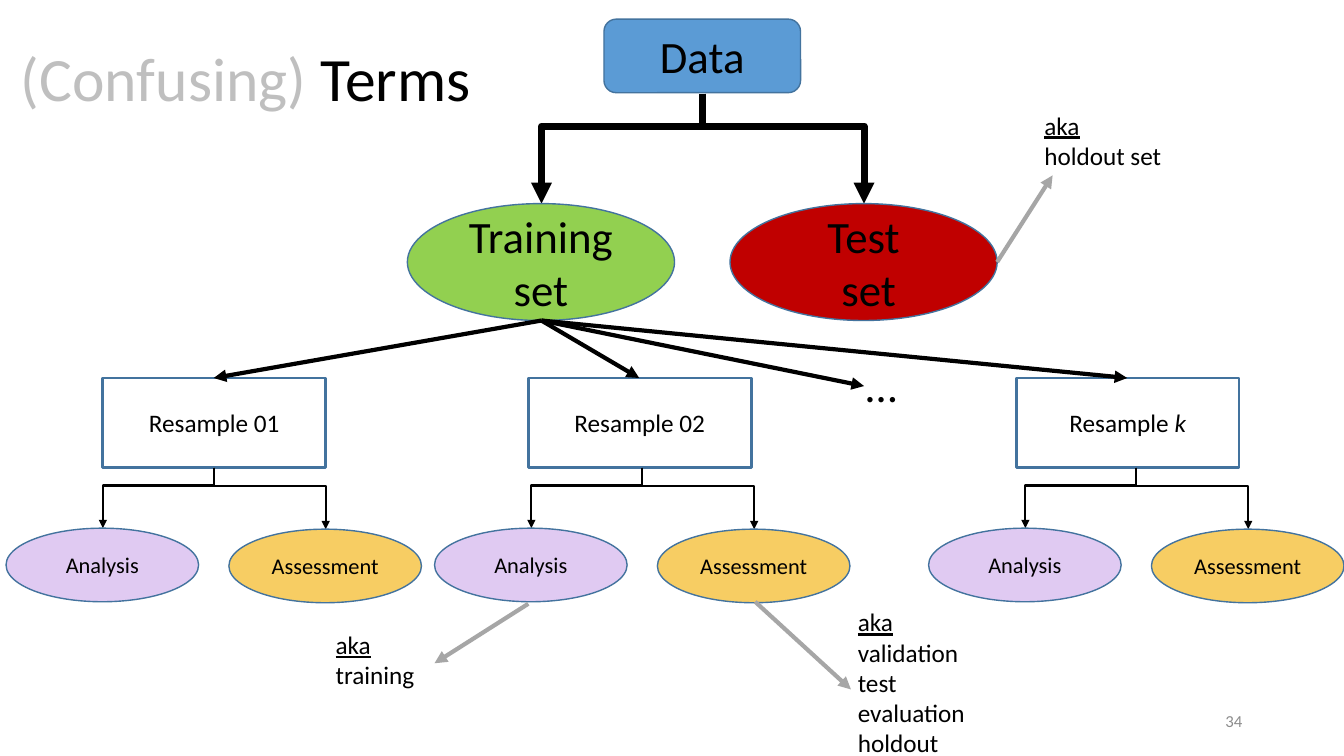
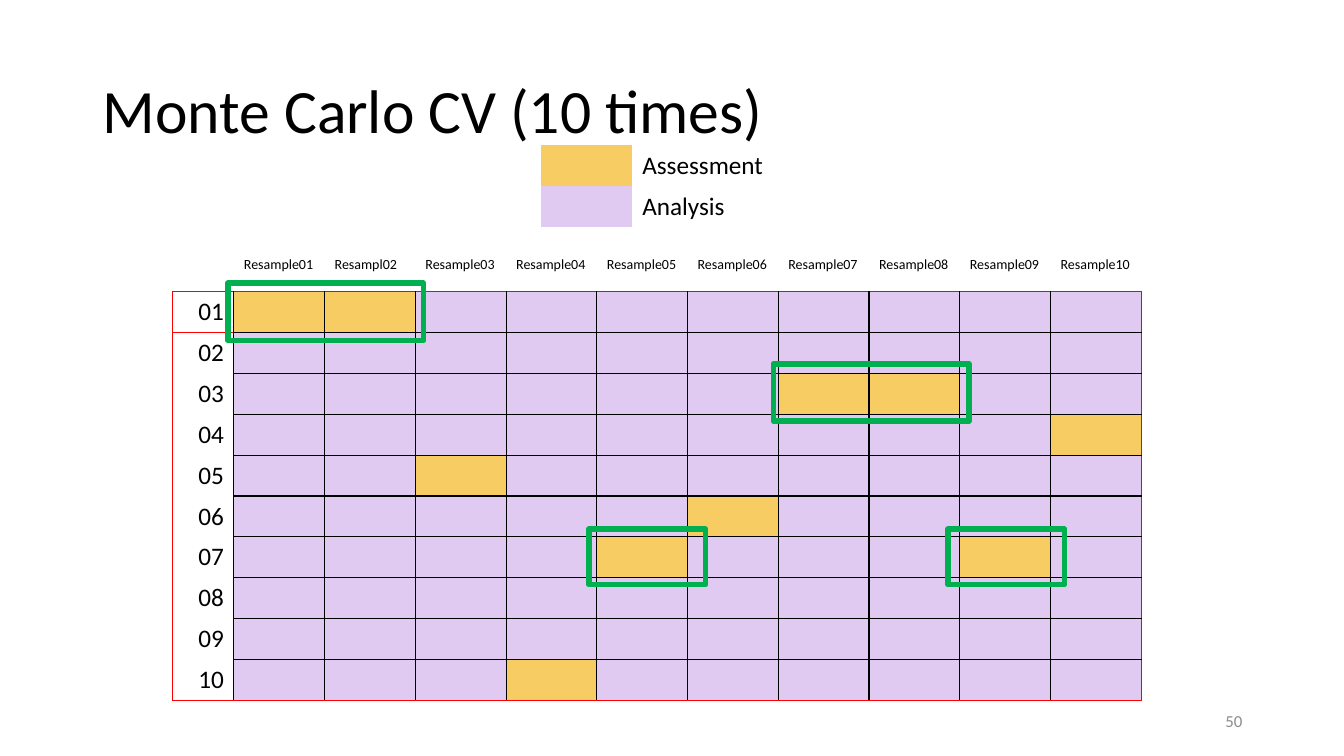
from dataclasses import dataclass
from typing import NamedTuple, Optional

from lxml import etree
from pptx import Presentation
from pptx.dml.color import RGBColor
from pptx.enum.shapes import MSO_CONNECTOR, MSO_SHAPE
from pptx.enum.text import MSO_ANCHOR, PP_ALIGN
from pptx.oxml.ns import qn
from pptx.shapes.autoshape import Shape
from pptx.shapes.connector import Connector
from pptx.slide import Slide
from pptx.table import Table, _Cell
from pptx.text.text import TextFrame
from pptx.util import Emu, Pt

# Enum members
RECT, ROUNDED, OVAL = MSO_SHAPE.RECTANGLE, MSO_SHAPE.ROUNDED_RECTANGLE, MSO_SHAPE.OVAL
STRAIGHT, ELBOW = MSO_CONNECTOR.STRAIGHT, MSO_CONNECTOR.ELBOW
LEFT, CENTER, RIGHT = PP_ALIGN.LEFT, PP_ALIGN.CENTER, PP_ALIGN.RIGHT
TOP, MIDDLE = MSO_ANCHOR.TOP, MSO_ANCHOR.MIDDLE

# Shared look
EMU_PER_PX = 9144  # 100 px to the inch
SLIDE_W, SLIDE_H = 1333, 750
FONT = "Calibri"
BLACK = RGBColor(0x00, 0x00, 0x00)
MUTED = RGBColor(0xBF, 0xBF, 0xBF)
NUMBER_GRAY = RGBColor(0x8C, 0x8C, 0x8C)
POINTER_GRAY = RGBColor(0xA6, 0xA6, 0xA6)
OUTLINE = RGBColor(0x43, 0x73, 0x9E)
DATA_BLUE = RGBColor(0x5B, 0x9B, 0xD5)
TRAINING_GREEN = RGBColor(0x92, 0xD0, 0x50)
TEST_RED = RGBColor(0xC0, 0x00, 0x00)
ANALYSIS = RGBColor(0xE0, 0xCA, 0xF2)
ASSESSMENT = RGBColor(0xF7, 0xCD, 0x63)
FRAME_RED = RGBColor(0xFF, 0x00, 0x00)
HIGHLIGHT = RGBColor(0x00, 0xB0, 0x50)
NO_STYLE = "{2D5ABB26-0587-4C30-8999-92F81FD0307C}"
BEND = 29400  # share of the way down at which an elbow turns


class Box(NamedTuple):
    left: int
    top: int
    width: int
    height: int


class Point(NamedTuple):
    x: int
    y: int


@dataclass(frozen=True)
class Node:
    text: str
    box: Box
    preset: MSO_SHAPE
    fill: Optional[RGBColor]
    size: int
    line_width: int = 1


@dataclass(frozen=True)
class Resample:
    label: str
    box_left: int
    pair_left: int
    italic: str = ""


@dataclass(frozen=True)
class Alias:
    names: str
    box: Box
    start: Point
    end: Point


TRAINING_BOTTOM = Point(537, 318)
NODES = [
    Node("Data", Box(599, 19, 195, 73), ROUNDED, DATA_BLUE, 32),
    Node("Training set", Box(404, 202, 265, 116), OVAL, TRAINING_GREEN, 32),
    Node("Test\n set", Box(724, 202, 265, 116), OVAL, TEST_RED, 32),
]
RESAMPLES = [
    Resample("Resample 01", 102, 6),
    Resample("Resample 02", 524, 431),
    Resample("Resample ", 1008, 921, italic="k"),
]
ALIASES = [
    Alias("holdout set", Box(1026, 104, 232, 101), Point(989, 260), Point(1044, 174)),
    Alias("validation\ntest\nevaluation\nholdout", Box(841, 597, 232, 192),
          Point(749, 597), Point(844, 684)),
    Alias("training", Box(323, 619, 232, 101), Point(524, 599), Point(431, 658)),
]

# Resample grid: assessment cells as (row, column)
HEADERS = ["Resample01", "Resampl02"] + [f"Resample{n:02}" for n in range(3, 11)]
ROW_COUNT = 10
ASSESSED = {(1, 1), (1, 2), (3, 7), (3, 8), (4, 10), (5, 3), (6, 6), (7, 5), (7, 9), (10, 4)}
HIGHLIGHTS = [
    Box(226, 281, 194, 57), Box(767, 361, 194, 57),
    Box(940, 525, 116, 55), Box(584, 525, 116, 55),
]


def px(length: float) -> Emu:
    return Emu(round(length * EMU_PER_PX))


def write(frame: TextFrame, text: str, size: int, align: PP_ALIGN = LEFT,
          color: RGBColor = BLACK) -> None:
    frame.text = text
    for paragraph in frame.paragraphs:
        paragraph.alignment = align
        font = paragraph.font
        font.size, font.name = Pt(size), FONT
        for run in paragraph.runs:
            run.font.size, run.font.name = Pt(size), FONT
            run.font.color.rgb = color


def append_run(frame: TextFrame, text: str, size: int, italic: bool = False) -> None:
    run = frame.paragraphs[0].add_run()
    run.text = text
    run.font.size, run.font.name = Pt(size), FONT
    run.font.color.rgb = BLACK
    if italic:
        run.font.italic = True


def add_text(slide: Slide, box: Box, text: str, size: int, align: PP_ALIGN = LEFT,
             color: RGBColor = BLACK, anchor: MSO_ANCHOR = TOP) -> TextFrame:
    frame = slide.shapes.add_textbox(*map(px, box)).text_frame
    frame.word_wrap = True
    frame.vertical_anchor = anchor
    write(frame, text, size, align, color)
    return frame


def add_title(slide: Slide, left: int, top: int, text: str,
              color: RGBColor = BLACK) -> TextFrame:
    frame = add_text(slide, Box(left, top, 1150, 145), text, 44, color=color, anchor=MIDDLE)
    frame.paragraphs[0].line_spacing = 0.9
    return frame


def add_number(slide: Slide, number: int) -> None:
    add_text(slide, Box(942, 695, 300, 40), str(number), 12, RIGHT, NUMBER_GRAY, MIDDLE)


def add_outline(slide: Slide, preset: MSO_SHAPE, box: Box, fill: Optional[RGBColor],
                line: RGBColor, width: int) -> Shape:
    shape = slide.shapes.add_shape(preset, *map(px, box))
    shape.shadow.inherit = False
    if fill is None:
        shape.fill.background()
    else:
        shape.fill.solid()
        shape.fill.fore_color.rgb = fill
    shape.line.color.rgb = line
    shape.line.width = Pt(width)
    return shape


def add_node(slide: Slide, node: Node) -> TextFrame:
    shape = add_outline(slide, node.preset, node.box, node.fill, OUTLINE, node.line_width)
    shape.text_frame.vertical_anchor = MIDDLE
    write(shape.text_frame, node.text, node.size, CENTER)
    return shape.text_frame


def style_arrow(arrow: Connector, color: RGBColor, width: float) -> None:
    arrow.line.color.rgb = color
    arrow.line.width = Pt(width)
    properties = arrow._element.spPr
    etree.SubElement(properties.find(qn("a:ln")), qn("a:tailEnd"), type="triangle")
    etree.SubElement(properties, qn("a:effectLst"))


def add_arrow(slide: Slide, start: Point, end: Point, color: RGBColor = BLACK) -> None:
    arrow = slide.shapes.add_connector(STRAIGHT, *map(px, (*start, *end)))
    style_arrow(arrow, color, 3)


def add_elbow(slide: Slide, start: Point, end: Point, width: float) -> None:
    """Draw down, across and down: a sideways elbow turned by a quarter."""
    center_x, center_y = (start.x + end.x) / 2, (start.y + end.y) / 2
    half_drop, half_span = (end.y - start.y) / 2, abs(end.x - start.x) / 2
    to_right = end.x > start.x
    reach = -half_drop if to_right else half_drop
    arrow = slide.shapes.add_connector(
        ELBOW, px(center_x - reach), px(center_y - half_span),
        px(center_x + reach), px(center_y + half_span))
    properties = arrow._element.spPr
    properties.find(qn("a:xfrm")).set("rot", "16200000" if to_right else "5400000")
    adjustments = properties.find(qn("a:prstGeom")).find(qn("a:avLst"))
    etree.SubElement(adjustments, qn("a:gd"), name="adj1", fmla=f"val {BEND}")
    style_arrow(arrow, BLACK, width)


def add_plain_table(slide: Slide, box: Box, rows: int, widths: list[int]) -> Table:
    table = slide.shapes.add_table(rows, len(widths), *map(px, box)).table
    table.first_row = table.horz_banding = False
    table._tbl.tblPr.find(qn("a:tableStyleId")).text = NO_STYLE
    for column, width in zip(table.columns, widths):
        column.width = px(width)
    for row in table.rows:
        row.height = px(box.height / rows)
    return table


def style_cell(cell: _Cell, fill: Optional[RGBColor] = None,
               borders: Optional[dict[str, RGBColor]] = None) -> None:
    properties = cell._tc.get_or_add_tcPr()
    for side in "LRTB":
        if borders and side in borders:
            line = etree.SubElement(properties, qn(f"a:ln{side}"), w=str(Pt(1)))
            paint = etree.SubElement(line, qn("a:solidFill"))
            etree.SubElement(paint, qn("a:srgbClr"), val=str(borders[side]))
    if fill is None:
        cell.fill.background()
    else:
        cell.fill.solid()
        cell.fill.fore_color.rgb = fill


def add_resample(slide: Slide, resample: Resample) -> None:
    box = Box(resample.box_left, 375, 221, 89)
    frame = add_node(slide, Node(resample.label, box, RECT, None, 18, line_width=2))
    if resample.italic:
        append_run(frame, resample.italic, 18, italic=True)
    stem = Point(resample.pair_left + 206, 464)
    parts = [("Analysis", ANALYSIS, 0, -110), ("Assessment", ASSESSMENT, 1, 111)]
    for label, fill, index, shift in parts:
        oval = Box(resample.pair_left + 221 * index, 524 + index, 191, 73)
        add_elbow(slide, stem, Point(stem.x + shift, oval.top), 1.5)
        add_node(slide, Node(label, oval, OVAL, fill, 16))
    add_arrow(slide, TRAINING_BOTTOM, Point(box.left + box.width // 2, box.top))


def build_terms(slide: Slide) -> None:
    append_run(add_title(slide, 11, 8, "(Confusing)", MUTED), " Terms", 44)
    add_number(slide, 34)
    # Data split
    for target_x in (537, 857):
        add_elbow(slide, Point(697, 93), Point(target_x, 202), 5)
    for node in NODES:
        add_node(slide, node)
    # Resamples
    for resample in RESAMPLES:
        add_resample(slide, resample)
    add_text(slide, Box(849, 350, 129, 64), "…", 32)
    add_arrow(slide, TRAINING_BOTTOM, Point(857, 383))
    # Other names
    for alias in ALIASES:
        add_arrow(slide, alias.start, alias.end, POINTER_GRAY)
        frame = add_text(slide, alias.box, f"aka\n{alias.names}", 18)
        frame.paragraphs[0].runs[0].font.underline = True


def build_monte_carlo(slide: Slide) -> None:
    add_title(slide, 92, 40, "Monte Carlo CV (10 times)")
    add_number(slide, 50)
    # Resample grid
    last_column = len(HEADERS)
    grid = add_plain_table(slide, Box(171, 249, 961, 446), ROW_COUNT + 1,
                           [61] + [90] * last_column)
    style_cell(grid.cell(0, 0), borders={"B": FRAME_RED})
    for column, header in enumerate(HEADERS, 1):
        style_cell(grid.cell(0, column), borders={"B": FRAME_RED})
        write(grid.cell(0, column).text_frame, header, 10)
    for row in range(1, ROW_COUNT + 1):
        top = FRAME_RED if row == 1 else BLACK
        bottom = FRAME_RED if row == ROW_COUNT else BLACK
        label_borders = {"L": FRAME_RED, "R": BLACK}
        label_borders.update({side: color for side, color in (("T", top), ("B", bottom))
                              if color == FRAME_RED})
        style_cell(grid.cell(row, 0), borders=label_borders)
        write(grid.cell(row, 0).text_frame, f"{row:02}", 18, RIGHT)
        for column in range(1, last_column + 1):
            right = FRAME_RED if column == last_column else BLACK
            fill = ASSESSMENT if (row, column) in ASSESSED else ANALYSIS
            style_cell(grid.cell(row, column), fill,
                       {"L": BLACK, "R": right, "T": top, "B": bottom})
    # Legend
    legend = add_plain_table(slide, Box(537, 144, 230, 81), 2, [90, 140])
    for row, (label, fill) in enumerate([("Assessment", ASSESSMENT), ("Analysis", ANALYSIS)]):
        style_cell(legend.cell(row, 0), fill)
        style_cell(legend.cell(row, 1))
        write(legend.cell(row, 1).text_frame, label, 18)
    # Highlights
    for box in HIGHLIGHTS:
        add_outline(slide, RECT, box, None, HIGHLIGHT, 4)


def main() -> None:
    deck = Presentation()
    deck.slide_width, deck.slide_height = px(SLIDE_W), px(SLIDE_H)
    blank = deck.slide_layouts[6]
    for build in (build_terms, build_monte_carlo):
        build(deck.slides.add_slide(blank))
    deck.save("out.pptx")


if __name__ == "__main__":
    main()
